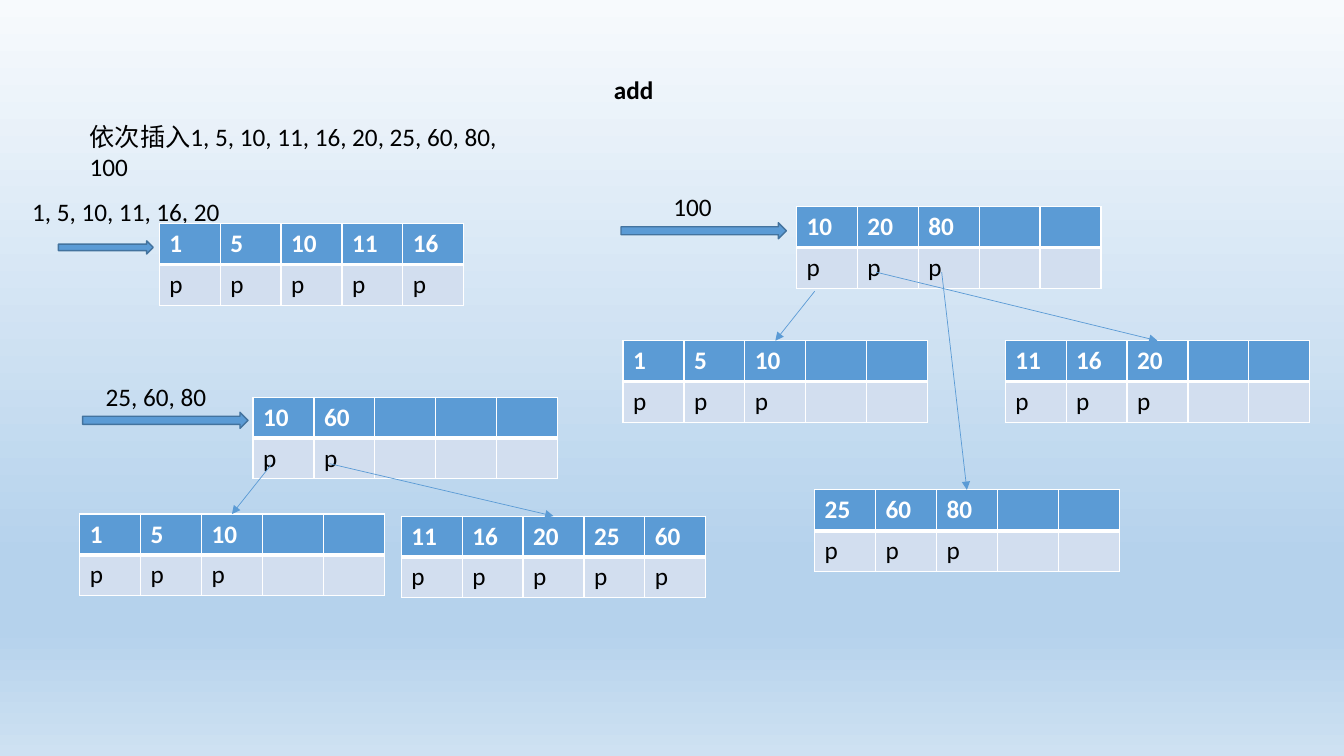
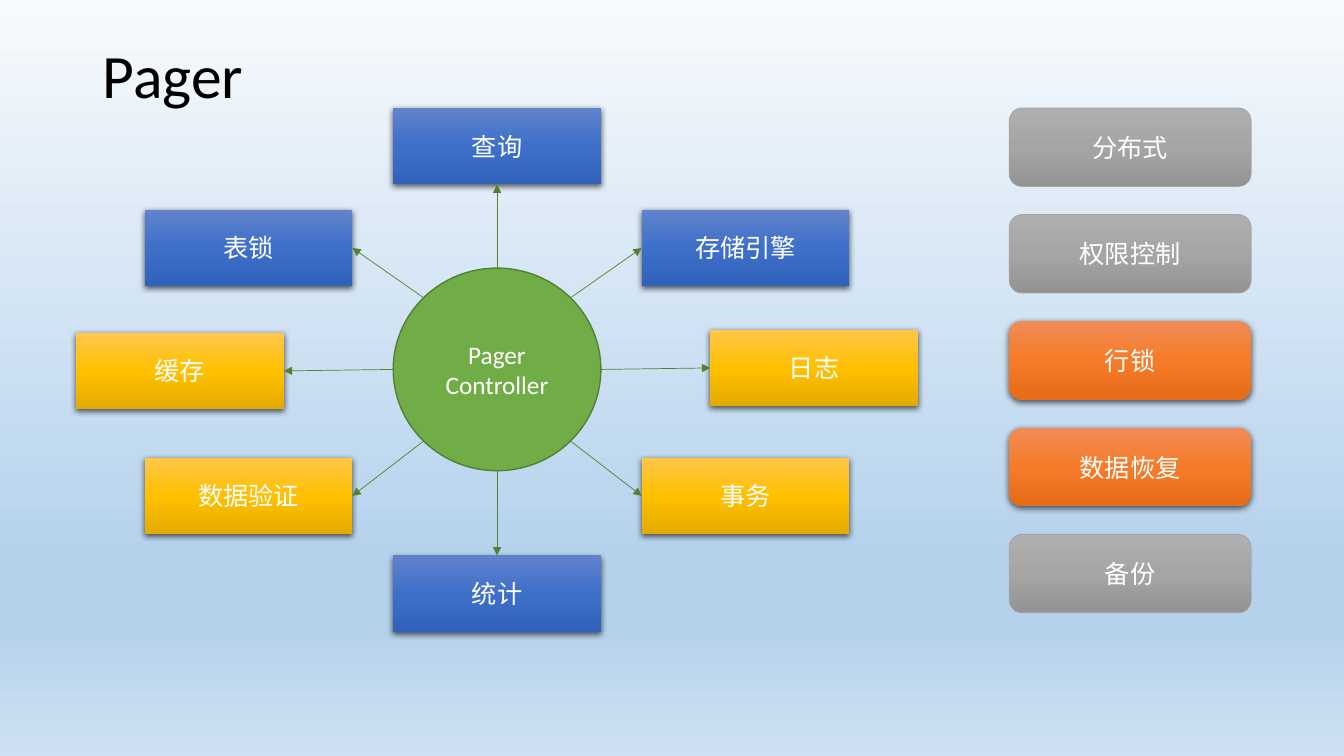
from math import cos, copysign, radians, sin

from lxml.etree import SubElement
from pptx import Presentation
from pptx.dml.color import RGBColor
from pptx.enum.shapes import MSO_CONNECTOR, MSO_SHAPE
from pptx.enum.text import MSO_ANCHOR, MSO_AUTO_SIZE, PP_ALIGN
from pptx.oxml.ns import qn
from pptx.util import Inches, Pt

FONT = "Calibri"
BLACK = RGBColor(0x00, 0x00, 0x00)
WHITE = RGBColor(0xFF, 0xFF, 0xFF)
HEADER_BLUE = RGBColor(0x5B, 0x9B, 0xD5)
EDGE_BLUE = RGBColor(0x43, 0x73, 0x9E)
PALE_BLUE = RGBColor(0xD2, 0xDE, 0xEF)
HUB_GREEN = RGBColor(0x70, 0xAD, 0x47)
HUB_EDGE = RGBColor(0x53, 0x80, 0x35)
SPOKE_GREEN = RGBColor(0x54, 0x82, 0x35)
MID_GRAY = RGBColor(0xA5, 0xA5, 0xA5)

SKY = [(0, RGBColor(0xF7, 0xFA, 0xFD)), (74, RGBColor(0xB5, 0xD2, 0xEC)),
       (83, RGBColor(0xB5, 0xD2, 0xEC)), (100, RGBColor(0xCE, 0xE1, 0xF2))]
BLUE = [(0, RGBColor(0x61, 0x83, 0xCB)), (50, RGBColor(0x3E, 0x70, 0xCA)),
        (100, RGBColor(0x30, 0x62, 0xBB))]
GOLD = [(0, RGBColor(0xFF, 0xC6, 0x4B)), (50, RGBColor(0xFF, 0xC0, 0x00)),
        (100, RGBColor(0xE3, 0xAB, 0x00))]
ORANGE = [(0, RGBColor(0xF1, 0x8C, 0x57)), (50, RGBColor(0xF6, 0x7B, 0x28)),
          (100, RGBColor(0xE5, 0x6C, 0x19))]
GRAY = [(0, RGBColor(0xAF, 0xAF, 0xAF)), (50, MID_GRAY),
        (100, RGBColor(0x93, 0x93, 0x93))]


def paint_gradient(fill, element, stops):
    """Give a fill a top-to-bottom gradient with the stops (percent, colour)."""
    fill.gradient()
    fill.gradient_angle = 270
    gs_list = element.find(".//" + qn("a:gsLst"))
    for gs in list(gs_list):
        gs_list.remove(gs)
    for percent, color in stops:
        gs = SubElement(gs_list, qn("a:gs"), pos=str(percent * 1000))
        SubElement(gs, qn("a:srgbClr"), val=str(color))


def write_text(tf, text, color, size=18, bold=False, align=PP_ALIGN.LEFT):
    """Put one styled paragraph in a text frame and return the paragraph."""
    tf.text = text
    p = tf.paragraphs[0]
    p.alignment = align
    for r in p.runs:
        r.font.name, r.font.size, r.font.bold = FONT, Pt(size), bold
        r.font.color.rgb = color
    return p


prs = Presentation()
prs.slide_width, prs.slide_height = Inches(13.33), Inches(7.5)
master = prs.slide_master
paint_gradient(master.background.fill, master.element, SKY)
blank = prs.slide_layouts[6]
add_slide = prs.slides.add_slide(blank)
pager_slide = prs.slides.add_slide(blank)
arrows = []  # slide, colour, from x, from y, to x, to y

# Slide 1: inserting keys into the tree
s = add_slide
COLS, COL_W, ROW_H = 5, 0.604, 0.405

captions = [
    ("add", 5.99, 0.69, 0.6, True),
    ("依次插入1, 5, 10, 11, 16, 20, 25, 60, 80, 100", 0.79, 1.15, 4.65, False),
    ("1, 5, 10, 11, 16, 20", 0.22, 1.9, 2.09, False),
    ("25, 60, 80", 0.95, 3.73, 1.21, False),
    ("100", 6.58, 1.85, 0.59, False),
]
for text, left, top, width, bold in captions:
    sp = s.shapes.add_textbox(Inches(left), Inches(top), Inches(width), Inches(0.4))
    tf = sp.text_frame
    tf.word_wrap = width > 4
    tf.auto_size = MSO_AUTO_SIZE.SHAPE_TO_FIT_TEXT
    write_text(tf, text, BLACK, bold=bold)

nodes = [
    (1.58, 2.22, [1, 5, 10, 11, 16]),
    (0.79, 5.1, [1, 5, 10]),
    (3.98, 5.12, [11, 16, 20, 25, 60]),
    (2.51, 3.94, [10, 60]),
    (6.18, 3.38, [1, 5, 10]),
    (7.9, 2.05, [10, 20, 80]),
    (9.97, 3.38, [11, 16, 20]),
    (8.08, 4.86, [25, 60, 80]),
]
for left, top, keys in nodes:
    table = s.shapes.add_table(2, COLS, Inches(left), Inches(top),
                               Inches(COLS * COL_W), Inches(2 * ROW_H)).table
    for column in table.columns:
        column.width = Inches(COL_W)
    for row in range(2):
        table.rows[row].height = Inches(ROW_H)
        for col in range(COLS):
            cell = table.cell(row, col)
            tc_pr = cell._tc.get_or_add_tcPr()
            divider = "a:lnT" if row else "a:lnB"
            for side in ("a:lnL", "a:lnR", "a:lnT", "a:lnB"):
                width = Pt(3 if side == divider else 1)
                ln = SubElement(tc_pr, qn(side), w=str(width))
                SubElement(SubElement(ln, qn("a:solidFill")), qn("a:srgbClr"),
                           val=str(WHITE))
            cell.fill.solid()
            cell.fill.fore_color.rgb = PALE_BLUE if row else HEADER_BLUE
            if col < len(keys):
                write_text(cell.text_frame, "p" if row else str(keys[col]),
                           BLACK if row else WHITE, bold=row == 0)

for left, top, width, height in [(0.58, 2.39, 0.94, 0.13),
                                 (0.82, 4.09, 1.64, 0.16),
                                 (6.16, 2.21, 1.64, 0.16)]:
    sp = s.shapes.add_shape(MSO_SHAPE.RIGHT_ARROW, Inches(left), Inches(top),
                            Inches(width), Inches(height))
    sp.shadow.inherit = False
    sp.fill.solid()
    sp.fill.fore_color.rgb = HEADER_BLUE
    sp.line.color.rgb = EDGE_BLUE
    sp.line.width = Pt(1)

for x, y, child in [(2.69, 4.61, 1), (3.27, 4.6, 2), (8.08, 2.89, 4),
                    (8.69, 2.7, 6), (9.34, 2.7, 7)]:
    left, top, keys = nodes[child]
    arrows.append((s, HEADER_BLUE, x, y, left + COLS * COL_W / 2, top))

# Slide 2: the pager controller and its modules
s = pager_slide
HUB_X, HUB_Y, HUB_W, HUB_H = 4.93, 3.665, 2.06, 2.01
BOX_W, BOX_H = 2.06, 0.76
NEAR, FAR = 2.465, 3.145
PILL_X, PILL_Y, PILL_W, PILL_H, PILL_STEP = 10.01, 1.07, 2.4, 0.78, 1.0575

sp = s.shapes.add_textbox(Inches(0.92), Inches(0.4), Inches(11.5), Inches(1.45))
sp.text_frame.word_wrap = True
write_text(sp.text_frame, "Pager", BLACK, size=44).line_spacing = 0.9

hub = s.shapes.add_shape(MSO_SHAPE.OVAL, Inches(HUB_X - HUB_W / 2),
                         Inches(HUB_Y - HUB_H / 2), Inches(HUB_W), Inches(HUB_H))
hub.shadow.inherit = False
hub.fill.solid()
hub.fill.fore_color.rgb = HUB_GREEN
hub.line.color.rgb = HUB_EDGE
hub.line.width = Pt(1)
hub.text_frame.vertical_anchor = MSO_ANCHOR.MIDDLE
write_text(hub.text_frame, "Pager Controller", WHITE, align=PP_ALIGN.CENTER)

# label, spoke angle clockwise from the right, offset from the hub, top, gradient
modules = [
    ("查询", 270, 0, 1.07, BLUE),
    ("存储引擎", 315, NEAR, 2.08, BLUE),
    ("日志", 0, FAR, 3.27, GOLD),
    ("事务", 45, NEAR, 4.54, GOLD),
    ("统计", 90, 0, 5.51, BLUE),
    ("表锁", 225, -NEAR, 2.08, BLUE),
    ("缓存", 180, -FAR, 3.3, GOLD),
    ("数据验证", 135, -NEAR, 4.54, GOLD),
]
cards = []  # preset, label, left, top, width, height, gradient
for label, angle, dx, top, stops in modules:
    x = HUB_X + dx
    cards.append((MSO_SHAPE.RECTANGLE, label, x - BOX_W / 2, top, BOX_W, BOX_H, stops))
    if dx:
        end = x - copysign(BOX_W / 2, dx), top + BOX_H / 2
    else:
        end = x, top if top > HUB_Y else top + BOX_H
    arrows.append((s, SPOKE_GREEN, HUB_X + HUB_W / 2 * cos(radians(angle)),
                   HUB_Y + HUB_H / 2 * sin(radians(angle)), *end))

pills = [("分布式", GRAY), ("权限控制", GRAY), ("行锁", ORANGE),
         ("数据恢复", ORANGE), ("备份", GRAY)]
for i, (label, stops) in enumerate(pills):
    cards.append((MSO_SHAPE.ROUNDED_RECTANGLE, label, PILL_X,
                  PILL_Y + i * PILL_STEP, PILL_W, PILL_H, stops))

for preset, label, left, top, width, height, stops in cards:
    sp = s.shapes.add_shape(preset, Inches(left), Inches(top),
                            Inches(width), Inches(height))
    paint_gradient(sp.fill, sp._element, stops)
    sp.shadow.inherit = False
    if stops is GRAY:
        sp.line.color.rgb = MID_GRAY
        sp.line.width = Pt(0.5)
    else:
        sp.line.fill.background()
        effects = sp._element.spPr.find(qn("a:effectLst"))
        shadow = SubElement(effects, qn("a:outerShdw"), blurRad=str(Pt(4.5)),
                            dist=str(Pt(1.5)), dir="5400000", algn="ctr",
                            rotWithShape="0")
        tint = SubElement(shadow, qn("a:srgbClr"), val=str(BLACK))
        SubElement(tint, qn("a:alpha"), val="63000")
    sp.text_frame.vertical_anchor = MSO_ANCHOR.MIDDLE
    write_text(sp.text_frame, label, WHITE, align=PP_ALIGN.CENTER)

# Arrows of both slides
for s, color, x1, y1, x2, y2 in arrows:
    line = s.shapes.add_connector(MSO_CONNECTOR.STRAIGHT, Inches(x1), Inches(y1),
                                  Inches(x2), Inches(y2))
    line.line.color.rgb = color
    line.line.width = Pt(0.5)
    SubElement(line.line._get_or_add_ln(), qn("a:tailEnd"), type="triangle")
    SubElement(line._element.spPr, qn("a:effectLst"))

prs.save("out.pptx")
